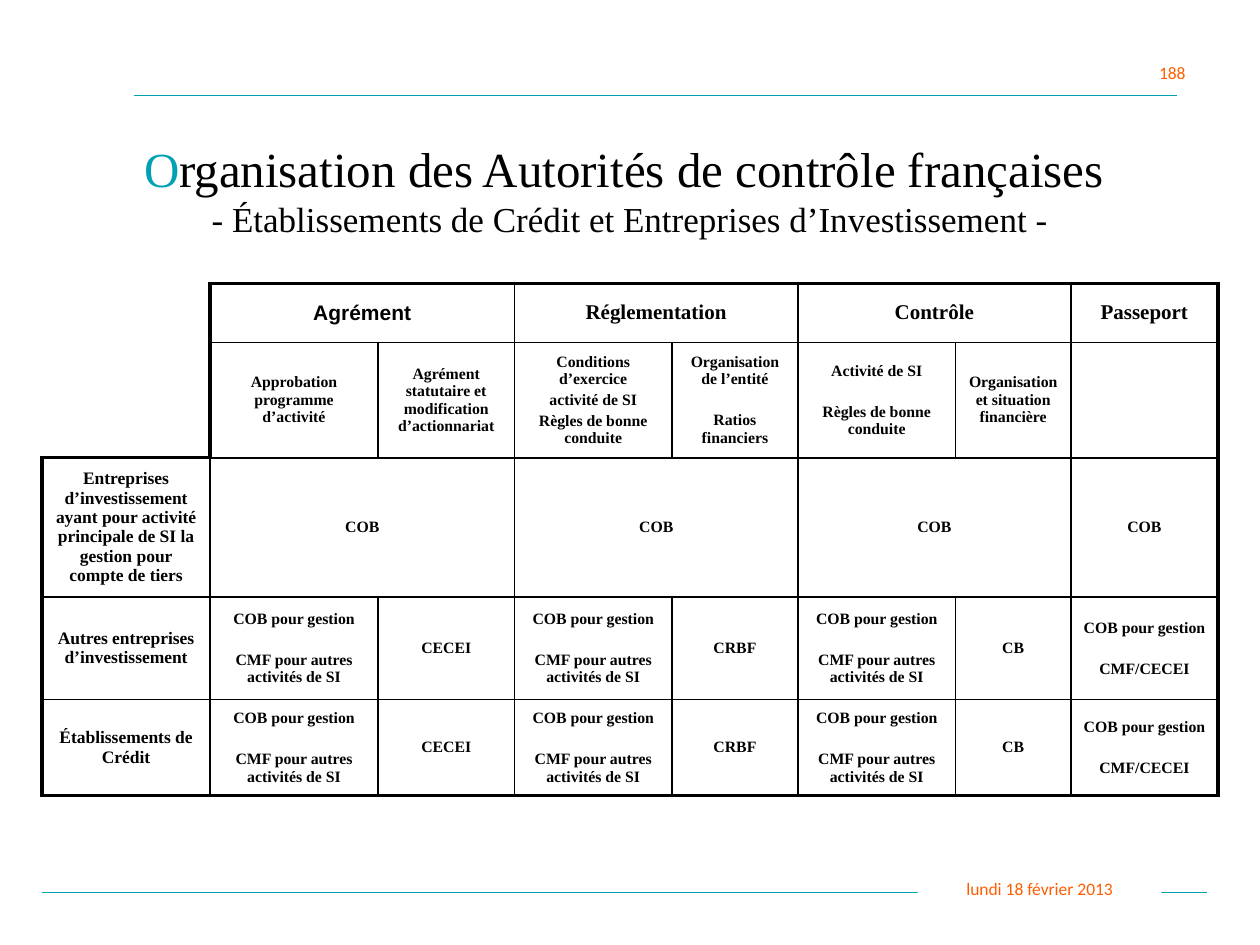
import pptx
import pptx.dml.color
import pptx.enum.shapes
import pptx.enum.text
import pptx.oxml
import pptx.oxml.ns
import pptx.util
from dataclasses import dataclass
from typing import Any

UNIT = 1 / 12
COLUMNS = (16, 16, 13, 15, 12, 15, 11, 14)
ROWS = (5.6, 11, 13.25, 9.8, 9.1)
THIN, THICK = 1, 2.25
TEAL, ORANGE, BLACK, WHITE = "01A0B5", "FF5E00", "000000", "FFFFFF"
SERIF = "Times New Roman"
PLAIN_TABLE_STYLE = "{2D5ABB26-0587-4C30-8999-92F81FD0307C}"
CENTER = pptx.enum.text.PP_ALIGN.CENTER
MIDDLE = pptx.enum.text.MSO_ANCHOR.MIDDLE


@dataclass(frozen=True)
class Entry:
    row: int
    column: int
    lines: tuple[str, ...]
    span: int = 1
    size: float = 9
    font: str = SERIF
    gap: float = 13.5


@dataclass(frozen=True)
class Rule:
    left: float
    right: float
    height: float


@dataclass(frozen=True)
class Label:
    text: str
    box: tuple[float, float, float, float]
    frame: dict[str, Any]
    alignment: Any


RULES = (Rule(4, 115, 85), Rule(12.75, 112.1, 9.1))
LABELS = (
    Label("lundi 18 février 2013", (87.4, 83, 23.2, 3.2),
          {"word_wrap": True, "vertical_anchor": MIDDLE}, CENTER),
    Label("188", (109.2, 5.3, 5.4, 3.2),
          {"word_wrap": False, "vertical_anchor": pptx.enum.text.MSO_ANCHOR.TOP},
          pptx.enum.text.PP_ALIGN.LEFT),
)
SPLIT = ("COB pour gestion", "CMF pour autres activités de SI")
BODY = (SPLIT, ("CECEI",), SPLIT, ("CRBF",), SPLIT, ("CB",),
        ("COB pour gestion", "CMF/CECEI"))
CRITERIA = (
    ("Approbation programme d’activité",),
    ("Agrément statutaire et modification d’actionnariat",),
    ("Conditions d’exercice", "activité de SI", "Règles de bonne conduite"),
    ("Organisation de l’entité", "Ratios financiers"),
    ("Activité de SI", "Règles de bonne conduite"),
    ("Organisation et situation financière",),
)
ROW_TITLES = (
    "Entreprises d’investissement ayant pour activité principale de SI "
    "la gestion pour compte de tiers",
    "Autres entreprises d’investissement",
    "Établissements de Crédit",
)
GROUPS = (("Agrément", 1, 2), ("Réglementation", 3, 2),
          ("Contrôle", 5, 2), ("Passeport", 7, 1))


def grid(value: float) -> int:
    return pptx.util.Inches(value * UNIT)


def color(value: str) -> pptx.dml.color.RGBColor:
    return pptx.dml.color.RGBColor.from_string(value)


def apply(target: Any, values: dict[str, Any]) -> None:
    for name, value in values.items():
        setattr(target, name, value)


def add_run(paragraph: Any, text: str, size: float, font: str,
            fill: str, bold: bool = False) -> None:
    run = paragraph.add_run()
    run.text = text
    apply(run.font, {"size": pptx.util.Pt(size), "name": font, "bold": bold})
    run.font.color.rgb = color(fill)


def draw_rule(slide: Any, rule: Rule) -> None:
    ends = (rule.left, rule.height, rule.right, rule.height)
    connector = slide.shapes.add_connector(
        pptx.enum.shapes.MSO_CONNECTOR.STRAIGHT, *map(grid, ends))
    connector.line.color.rgb = color(TEAL)
    connector.line.width = pptx.util.Pt(1)
    properties = connector._element.spPr
    properties.append(properties.makeelement(pptx.oxml.ns.qn("a:effectLst"), {}))


def draw_label(slide: Any, label: Label) -> None:
    shape = slide.shapes.add_shape(
        pptx.enum.shapes.MSO_SHAPE.RECTANGLE, *map(grid, label.box))
    shape.shadow.inherit = False
    shape.fill.solid()
    shape.fill.fore_color.rgb = color(WHITE)
    shape.line.fill.background()
    apply(shape.text_frame, label.frame)
    paragraph = shape.text_frame.paragraphs[0]
    paragraph.alignment = label.alignment
    add_run(paragraph, label.text, 10, "Calibri", ORANGE)


def vertical_width(row: int, edge: int) -> float:
    if edge == 0:
        return THICK if row >= 2 else 0
    if edge == len(COLUMNS) or (edge == 1 and row < 2):
        return THICK
    return THIN


def horizontal_width(column: int, edge: int) -> float:
    if column == 0 and edge < 2:
        return 0
    if edge in (0, len(ROWS)) or (column == 0 and edge == 2):
        return THICK
    return THIN


def set_borders(cell: Any, row: int, column: int, span: int) -> None:
    widths = {
        "lnL": vertical_width(row, column),
        "lnR": vertical_width(row, column + span),
        "lnT": horizontal_width(column, row),
        "lnB": horizontal_width(column, row + 1),
    }
    properties = cell._tc.get_or_add_tcPr()
    for side, width in widths.items():
        fill = (f'<a:solidFill><a:srgbClr val="{BLACK}"/></a:solidFill>'
                if width else "<a:noFill/>")
        properties.append(pptx.oxml.parse_xml(
            f'<a:{side} {pptx.oxml.ns.nsdecls("a")} '
            f'w="{int(pptx.util.Pt(width))}">{fill}</a:{side}>'))


def draw_entry(table: Any, entry: Entry) -> None:
    cell = table.cell(entry.row, entry.column)
    if entry.span > 1:
        cell.merge(table.cell(entry.row, entry.column + entry.span - 1))
    set_borders(cell, entry.row, entry.column, entry.span)
    cell.fill.background()
    cell.vertical_anchor = MIDDLE
    for index, line in enumerate(entry.lines):
        paragraph = cell.text_frame.add_paragraph() if index else cell.text_frame.paragraphs[0]
        paragraph.alignment = CENTER
        if index:
            paragraph.space_before = pptx.util.Pt(entry.gap)
        add_run(paragraph, line, entry.size, entry.font, BLACK, True)


def table_entries() -> list[Entry]:
    entries = [Entry(0, 0, ()), Entry(1, 0, ()), Entry(1, 7, ())]
    for title, column, span in GROUPS:
        font = "Arial" if column == 1 else SERIF
        entries.append(Entry(0, column, (title,), span, 12, font))
        entries.append(Entry(2, column, ("COB",), span))
    for column, lines in enumerate(CRITERIA, 1):
        entries.append(Entry(1, column, lines, gap=1.8 if len(lines) == 3 else 13.5))
    for row, title in enumerate(ROW_TITLES, 2):
        entries.append(Entry(row, 0, (title,), size=10))
    for row in (3, 4):
        entries.extend(Entry(row, column, lines) for column, lines in enumerate(BODY, 1))
    return entries


def draw_table(slide: Any) -> None:
    box = (4, 27, sum(COLUMNS), sum(ROWS))
    frame = slide.shapes.add_table(len(ROWS), len(COLUMNS), *map(grid, box))
    table = frame.table
    apply(table, {"first_row": False, "horz_banding": False})
    table._tbl.tblPr.find(pptx.oxml.ns.qn("a:tableStyleId")).text = PLAIN_TABLE_STYLE
    for column, width in zip(table.columns, COLUMNS):
        column.width = grid(width)
    for row, height in zip(table.rows, ROWS):
        row.height = grid(height)
    for entry in table_entries():
        draw_entry(table, entry)


def draw_title(slide: Any) -> None:
    title = slide.shapes.title
    apply(title, dict(zip(("left", "top", "width", "height"), map(grid, (9, 11, 102, 14)))))
    apply(title.text_frame, {"word_wrap": True, "vertical_anchor": MIDDLE,
                             "auto_size": pptx.enum.text.MSO_AUTO_SIZE.NONE})
    paragraph = title.text_frame.paragraphs[0]
    paragraph.alignment = CENTER
    add_run(paragraph, "O", 28, SERIF, TEAL)
    add_run(paragraph, "rganisation des Autorités de contrôle françaises ", 28, SERIF, BLACK)
    paragraph.add_line_break()
    add_run(paragraph, "- Établissements de Crédit et Entreprises d’Investissement -",
            20, SERIF, BLACK)


def main() -> None:
    presentation = pptx.Presentation()
    apply(presentation, {"slide_width": grid(120), "slide_height": grid(90)})
    slide = presentation.slides.add_slide(presentation.slide_layouts[5])
    for rule in RULES:
        draw_rule(slide, rule)
    for label in LABELS:
        draw_label(slide, label)
    draw_table(slide)
    draw_title(slide)
    presentation.save("out.pptx")


if __name__ == "__main__":
    main()
